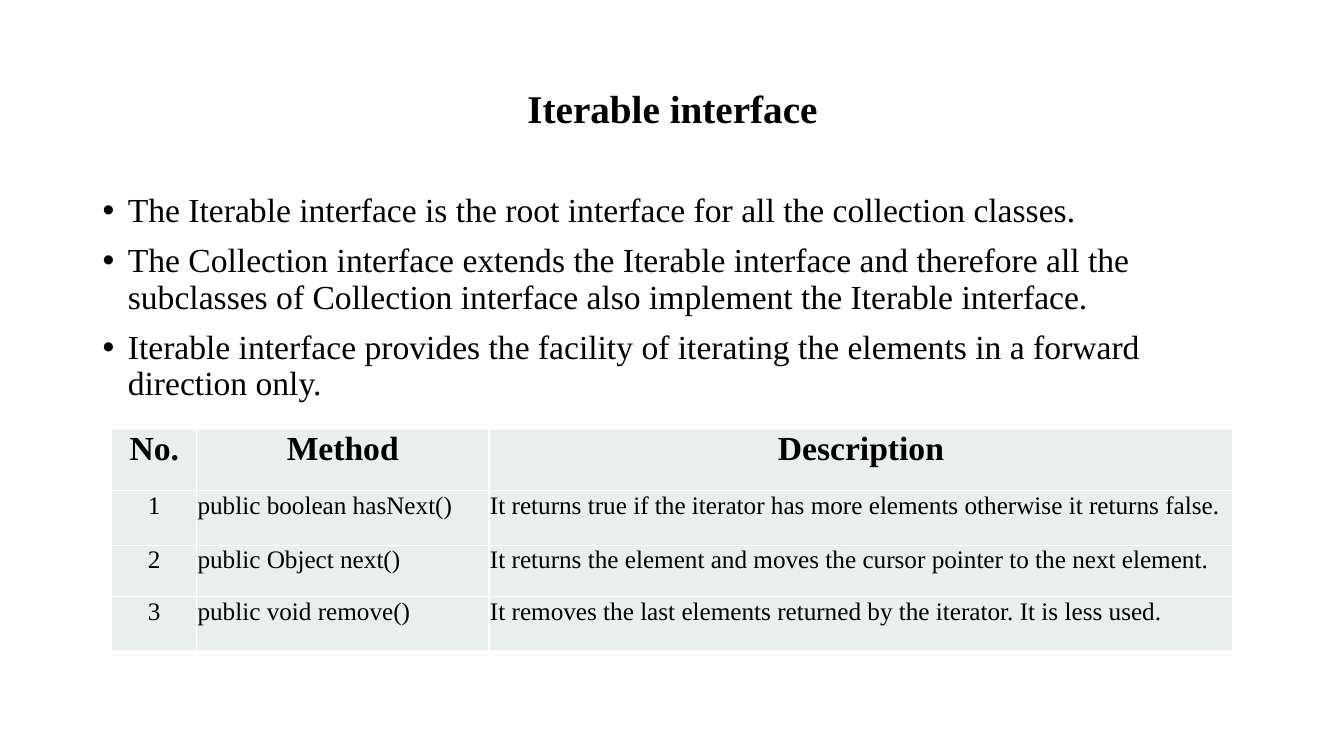
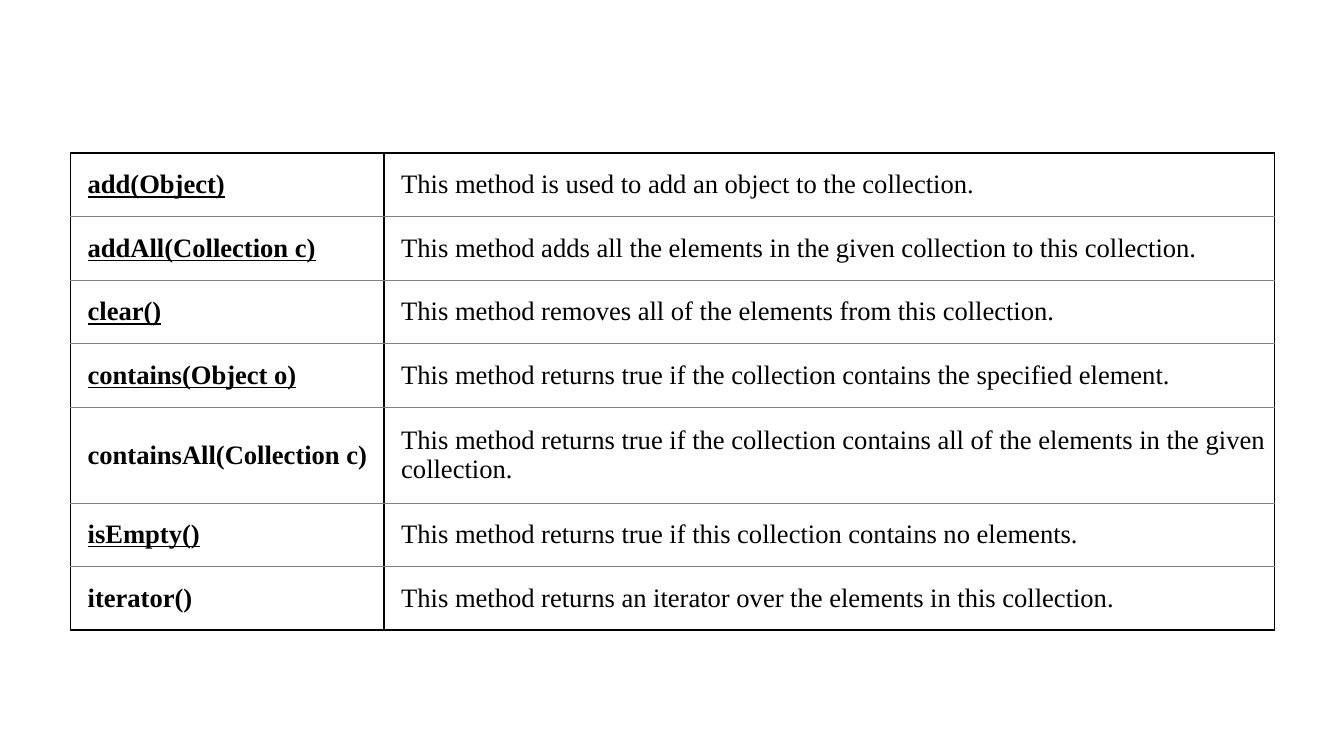
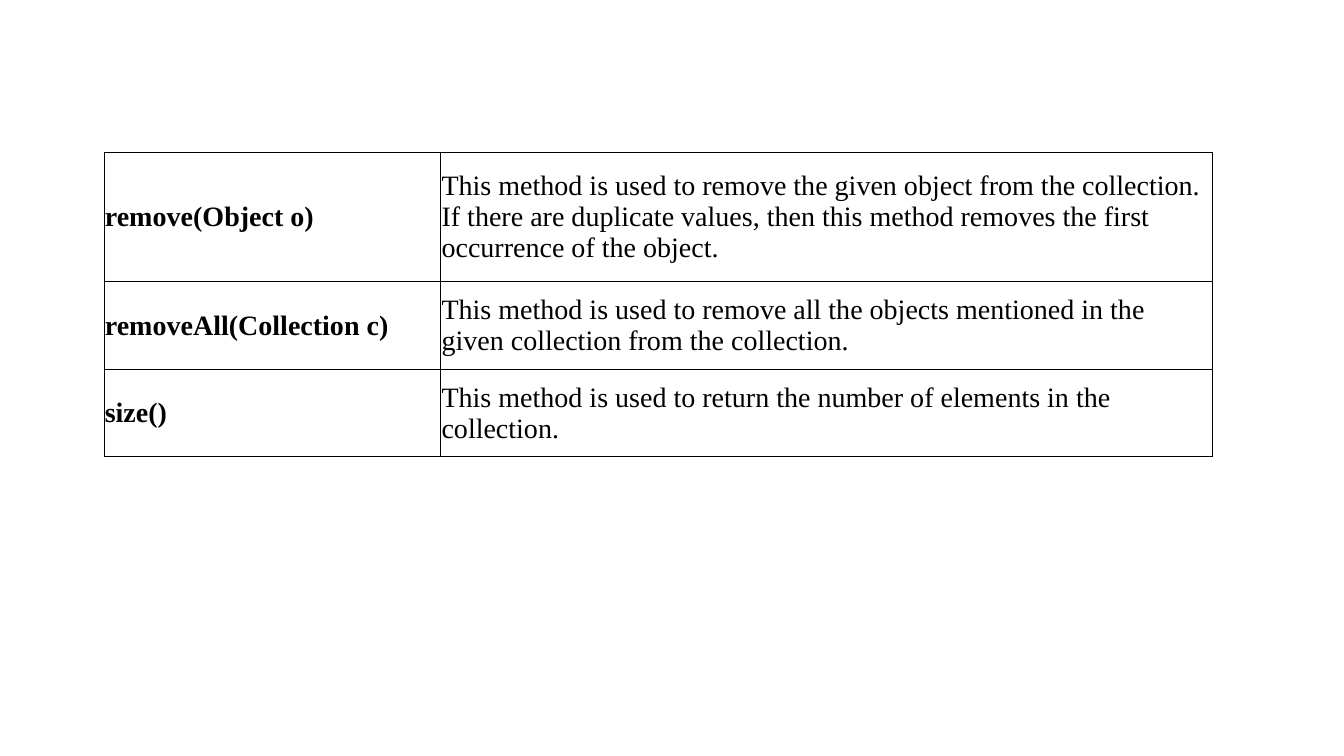
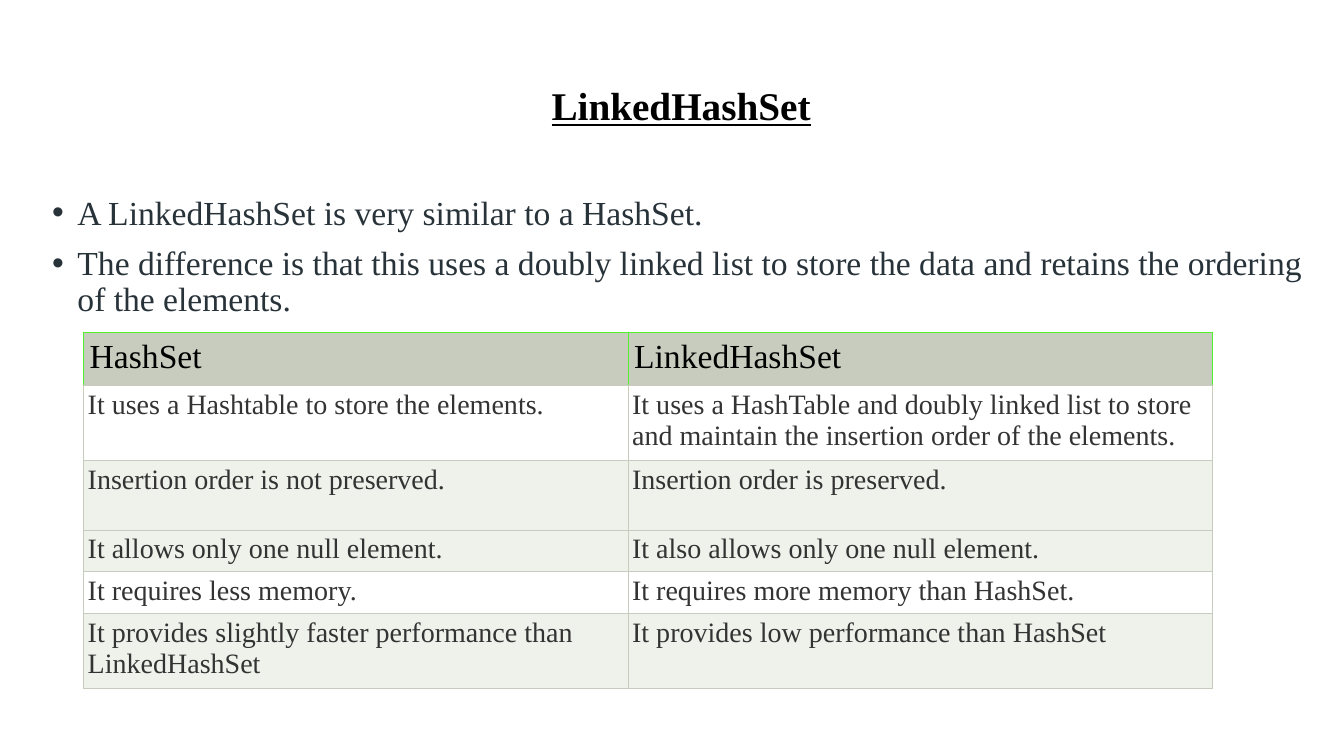
from dataclasses import dataclass

from pptx import Presentation
from pptx.dml.color import RGBColor as Rgb
from pptx.enum.text import MSO_ANCHOR as Anchor, PP_ALIGN as Align
from pptx.oxml.ns import qn
from pptx.util import Inches, Pt
from lxml.etree import SubElement as Sub


@dataclass(frozen=True)
class Theme:
    font: str = "Times New Roman"
    black: str = "000000"
    white: str = "FFFFFF"
    gray: str = "808080"
    slate: str = "273239"
    coal: str = "333333"
    mint: str = "E8EFEC"
    sage: str = "C7CCBE"
    pale: str = "EFF1EB"
    green: str = "50F12D"
    title: int = 28
    body: int = 24
    cell: int = 20
    dense: int = 19
    small: int = 18
    gap: int = 10
    lead: float = 0.9


T = Theme()
TIGHT = (0.01, 0.01, 0.01, 0)


@dataclass
class Look:
    size: int
    color: str = T.black
    bold: bool = False
    under: bool = False
    fill: str = ""
    align: Align = Align.LEFT
    anchor: Anchor = Anchor.TOP
    pad: tuple = TIGHT
    edges: tuple = ()


def box(color, width):
    return ((color, width),) * 4


class Deck:
    def __init__(self):
        self.file = Presentation()
        self.file.slide_width = Inches(13.33)
        self.file.slide_height = Inches(7.5)
        self.slide = None

    def page(self):
        self.slide = self.file.slides.add_slide(self.file.slide_layouts[6])
        fill = self.slide.background.fill
        fill.solid()
        fill.fore_color.rgb = Rgb.from_string(T.white)

    def run(self, para, text, look):
        run = para.add_run()
        run.text = text
        font = run.font
        font.name = T.font
        font.size = Pt(look.size)
        font.bold = look.bold
        font.underline = look.under
        font.color.rgb = Rgb.from_string(look.color)

    def bullet(self, para):
        props = para._p.get_or_add_pPr()
        props.set("marL", str(Inches(0.25)))
        props.set("indent", str(-Inches(0.25)))
        Sub(props, qn("a:buFont")).set("typeface", "Arial")
        Sub(props, qn("a:buChar")).set("char", "•")

    def text(self, at, title, after, points, color=T.black, under=False):
        frame = self.slide.shapes.add_textbox(*map(Inches, at)).text_frame
        frame.word_wrap = True
        head = frame.paragraphs[0]
        head.alignment = Align.CENTER
        head.space_after = Pt(after)
        self.run(head, title, Look(T.title, bold=True, under=under))
        for point in points:
            para = frame.add_paragraph()
            self.run(para, point, Look(T.body, color))
        for para in frame.paragraphs:
            para.line_spacing = T.lead
            para.space_before = Pt(T.gap)
        for para in frame.paragraphs[1:]:
            self.bullet(para)

    def edge(self, cell, edges):
        props = cell._tc.get_or_add_tcPr()
        for spot, (side, (color, width)) in enumerate(zip("LRTB", edges)):
            line = Sub(props, qn("a:ln" + side))
            line.set("w", str(Pt(width)))
            solid = Sub(line, qn("a:solidFill"))
            Sub(solid, qn("a:srgbClr")).set("val", color)
            props.insert(spot, line)

    def cell(self, cell, text, look):
        left, top, right, low = map(Inches, look.pad)
        cell.margin_left, cell.margin_top = left, top
        cell.margin_right, cell.margin_bottom = right, low
        cell.vertical_anchor = look.anchor
        if look.fill:
            cell.fill.solid()
            cell.fill.fore_color.rgb = Rgb.from_string(look.fill)
        else:
            cell.fill.background()
        para = cell.text_frame.paragraphs[0]
        para.alignment = look.align
        self.run(para, text, look)
        self.edge(cell, look.edges)

    def table(self, left, top, cols, rows, data, style):
        at = map(Inches, (left, top, sum(cols), sum(rows)))
        grid = self.slide.shapes.add_table(len(rows), len(cols), *at).table
        grid.first_row = grid.horz_banding = False
        for col, width in zip(grid.columns, cols):
            col.width = Inches(width)
        for row, height in zip(grid.rows, rows):
            row.height = Inches(height)
        for r, line in enumerate(data):
            for c, text in enumerate(line):
                self.cell(grid.cell(r, c), text, style(r, c))


def iterable(deck):
    def style(r, c):
        head = r == 0
        return Look(
            T.body if head else T.small,
            bold=head,
            fill=T.mint,
            align=Align.CENTER if head or c == 0 else Align.JUSTIFY,
            edges=box(T.white, 1),
        )

    deck.page()
    deck.text((0.92, 0.84, 11.5, 5.92), "Iterable interface", 34, [
        "The Iterable interface is the root interface for all the collection classes.",
        "The Collection interface extends the Iterable interface and therefore all the subclasses of Collection interface also implement the Iterable interface.",
        "Iterable interface provides the facility of iterating the elements in a forward direction only.",
    ])
    deck.table(1.11, 4.26, [0.84, 2.9, 7.38], [0.61, 0.54, 0.51, 0.54], [
        ("No.", "Method", "Description"),
        ("1", "public boolean hasNext()", "It returns true if the iterator has more elements otherwise it returns false."),
        ("2", "public Object next()", "It returns the element and moves the cursor pointer to the next element."),
        ("3", "public void remove()", "It removes the last elements returned by the iterator. It is less used."),
    ], style)


def methods(deck):
    data = [
        ("add(Object)", "This method is used to add an object to the collection."),
        ("addAll(Collection c)", "This method adds all the elements in the given collection to this collection."),
        ("clear()", "This method removes all of the elements from this collection."),
        ("contains(Object o)", "This method returns true if the collection contains the specified element."),
        ("containsAll(Collection c)", "This method returns true if the collection contains all of the elements in the given collection."),
        ("isEmpty()", "This method returns true if this collection contains no elements."),
        ("iterator()", "This method returns an iterator over the elements in this collection."),
    ]
    plain = (4, 6)
    outer, inner = (T.black, 1.5), (T.gray, 0.5)

    def style(r, c):
        name = c == 0
        return Look(
            T.dense,
            bold=name,
            under=name and r not in plain,
            anchor=Anchor.MIDDLE,
            pad=(0.17, 0.13, 0.01, 0.13),
            edges=(
                outer,
                outer,
                outer if r == 0 else inner,
                outer if r == len(data) - 1 else inner,
            ),
        )

    rows = [0.95 if r == 4 else 0.63 for r in range(len(data))]
    deck.page()
    deck.table(0.7, 1.52, [3.11, 8.83], rows, data, style)


def removal(deck):
    def style(r, c):
        return Look(T.cell, bold=c == 0, anchor=Anchor.MIDDLE, edges=box(T.black, 0.5))

    deck.page()
    deck.table(1.03, 1.51, [3.34, 7.65], [1.28, 0.87, 0.87], [
        ("remove(Object o)", "This method is used to remove the given object from the collection. If there are duplicate values, then this method removes the first occurrence of the object."),
        ("removeAll(Collection c)", "This method is used to remove all the objects mentioned in the given collection from the collection."),
        ("size()", "This method is used to return the number of elements in the collection."),
    ], style)


def linked(deck):
    fills = (T.sage, T.white, T.pale, T.pale, T.white, T.pale)
    thin, bright = (T.sage, 0.5), (T.green, 0.5)

    def style(r, c):
        if r == 0:
            return Look(T.body, fill=fills[r], pad=(0.06,) * 4, edges=(bright, bright, bright, thin))
        return Look(T.cell, T.coal, fill=fills[r], pad=(0.04,) * 4, edges=(thin,) * 4)

    deck.page()
    deck.text((0.42, 0.81, 12.67, 6.23), "LinkedHashSet", 38, [
        "A LinkedHashSet is very similar to a HashSet.",
        "The difference is that this uses a doubly linked list to store the data and retains the ordering of the elements.",
    ], T.slate, True)
    deck.table(0.83, 3.3, [5.4, 5.79], [0.52, 0.74, 0.69, 0.4, 0.39, 0.71], [
        ("HashSet", "LinkedHashSet"),
        ("It uses a Hashtable to store the elements.", "It uses a HashTable and doubly linked list to store and maintain the insertion order of the elements."),
        ("Insertion order is not preserved.", "Insertion order is preserved."),
        ("It allows only one null element.", "It also allows only one null element."),
        ("It requires less memory.", "It requires more memory than HashSet."),
        ("It provides slightly faster performance than LinkedHashSet", "It provides low performance than HashSet"),
    ], style)


def main():
    deck = Deck()
    for build in (iterable, methods, removal, linked):
        build(deck)
    deck.file.save("out.pptx")


if __name__ == "__main__":
    main()
